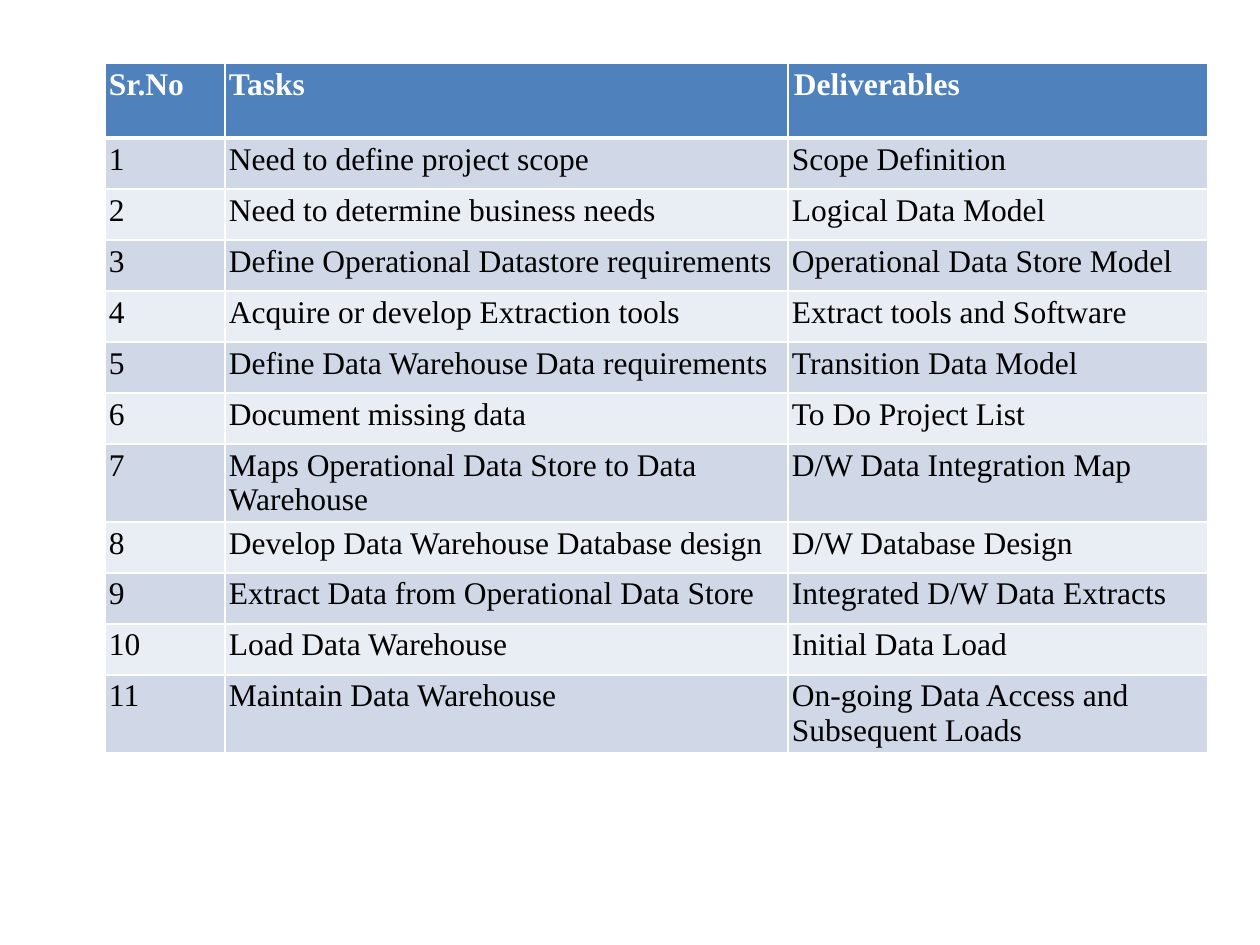
"""Build a slide with a table of data warehouse tasks and deliverables."""
import pptx
import pptx.dml.color
import pptx.oxml
import pptx.oxml.ns
import pptx.util

HEADS = ("Sr.No", "Tasks", "Deliverables")
TASKS = [
    ("Need to define project scope", "Scope Definition"),
    ("Need to determine business needs", "Logical Data Model"),
    ("Define Operational Datastore requirements", "Operational Data Store Model"),
    ("Acquire or develop Extraction tools", "Extract tools and Software"),
    ("Define Data Warehouse Data requirements", "Transition Data Model"),
    ("Document missing data", "To Do Project List"),
    ("Maps Operational Data Store to Data Warehouse", "D/W Data Integration Map"),
    ("Develop Data Warehouse Database design", "D/W Database Design"),
    ("Extract Data from Operational Data Store", "Integrated D/W Data Extracts"),
    ("Load Data Warehouse", "Initial Data Load"),
    ("Maintain Data Warehouse", "On-going Data Access and Subsequent Loads"),
]
COLORS = {"head": "4F81BD", "odd": "D0D8E8", "even": "E9EDF4",
          "white": "FFFFFF", "black": "000000"}
FONT = "Times New Roman"
SCALE = 914400 // 126
LEFT, TOP = 105, 63
COLS = (120, 563, 420)
HEAD, ROW, TALL = 75, 51, 78
TWO_LINE = {7, 11}


def px(num):
    return pptx.util.Emu(num * SCALE)


def rgb(name):
    return pptx.dml.color.RGBColor.from_string(COLORS[name])


def write(cell, text, color="black", bold=False, size=18):
    para = cell.text_frame.paragraphs[0]
    run = para.add_run()
    run.text = text
    run.font.name = FONT
    run.font.size = pptx.util.Pt(size)
    run.font.bold = bold
    run.font.color.rgb = rgb(color)


def border(cell, top, bottom):
    props = cell._tc.get_or_add_tcPr()
    sides = {"L": 1, "R": 1, "T": top, "B": bottom}
    for spot, (side, width) in enumerate(sides.items()):
        line = pptx.oxml.parse_xml(
            f'<a:ln{side} {pptx.oxml.ns.nsdecls("a")} w="{pptx.util.Pt(width)}">'
            f'<a:solidFill><a:srgbClr val="{COLORS["white"]}"/></a:solidFill>'
            f'</a:ln{side}>')
        props.insert(spot, line)


def style(cell, fill, side, top, bottom):
    cell.margin_left = cell.margin_right = px(side)
    cell.margin_top = cell.margin_bottom = px(4)
    cell.fill.solid()
    cell.fill.fore_color.rgb = rgb(fill)
    border(cell, top, bottom)


def main():
    deck = pptx.Presentation()
    deck.slide_width, deck.slide_height = px(1260), px(945)
    slide = deck.slides.add_slide(deck.slide_layouts[6])
    rows = [HEADS] + [(str(num), *task) for num, task in enumerate(TASKS, 1)]
    highs = [HEAD] + [TALL if num in TWO_LINE else ROW
                      for num in range(1, len(rows))]
    table = slide.shapes.add_table(
        len(rows), len(COLS), px(LEFT), px(TOP), px(sum(COLS)), px(sum(highs))).table
    for col, width in zip(table.columns, COLS):
        col.width = px(width)
    for num, (texts, high) in enumerate(zip(rows, highs)):
        table.rows[num].height = px(high)
        head = num == 0
        fill = "head" if head else "odd" if num % 2 else "even"
        for col, text in enumerate(texts):
            cell = table.cell(num, col)
            write(cell, text, color="white" if head else "black", bold=head)
            style(cell, fill, side=6 if head and col == 2 else 4,
                  top=3 if num == 1 else 1, bottom=3 if head else 1)
    deck.save("out.pptx")


if __name__ == "__main__":
    main()
